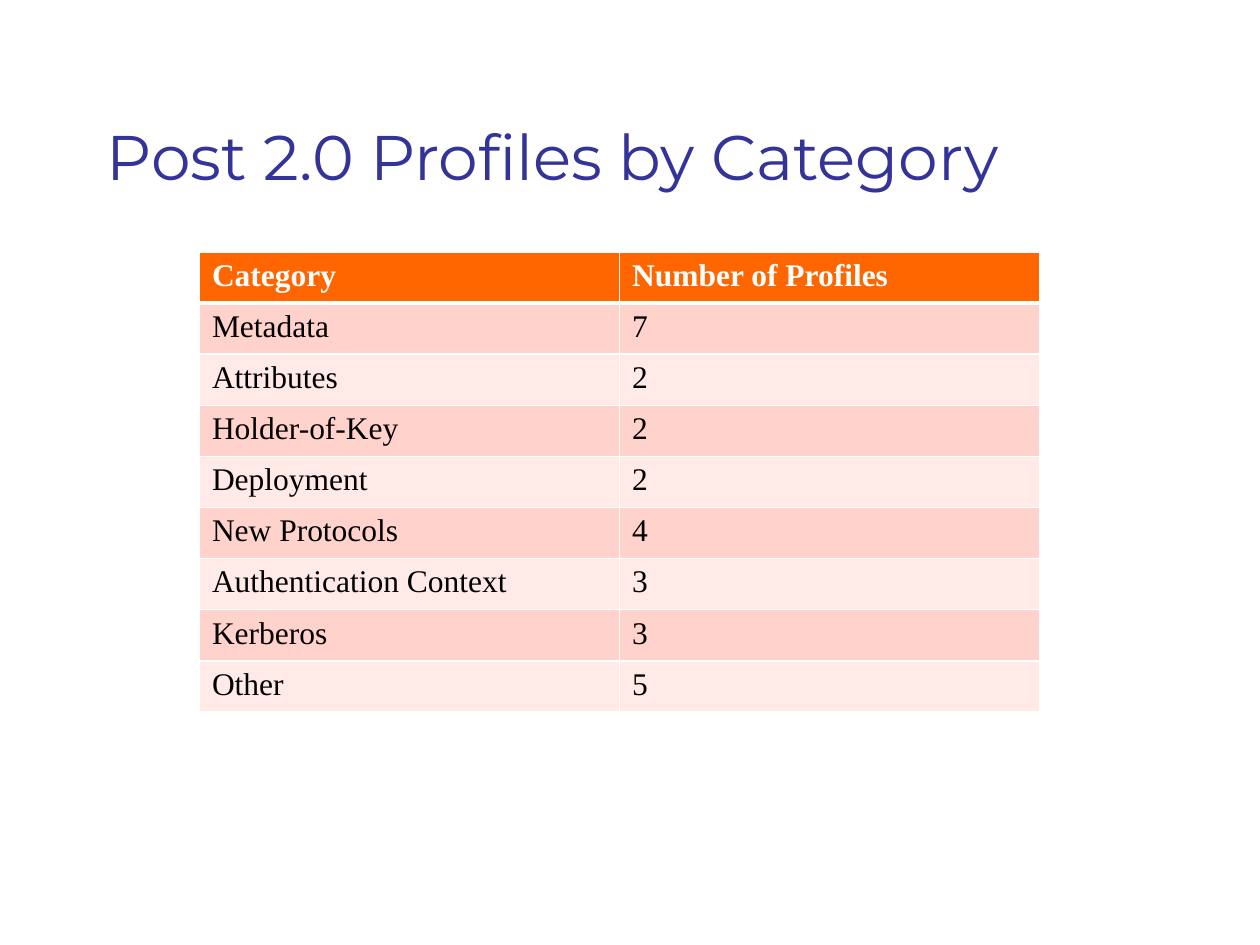
from lxml import etree
from pptx import Presentation
from pptx.dml.color import RGBColor
from pptx.enum import text
from pptx.oxml.ns import qn
from pptx.util import Cm, Pt


def tint(code):
    return RGBColor.from_string(code)


def add_run(para, words, face, size, code, bold=False):
    run = para.add_run()
    run.text = words
    run.font.name = face
    run.font.size = Pt(size)
    run.font.bold = bold
    run.font.color.rgb = tint(code)


# Slide
deck = Presentation()
deck.slide_width, deck.slide_height = Cm(25.4), Cm(19.05)
slide = deck.slides.add_slide(deck.slide_layouts[6])

# Title
title = slide.shapes.add_textbox(Cm(1.9), Cm(2.54), Cm(21.17), Cm(3.18))
frame = title.text_frame
frame.word_wrap = True
frame.vertical_anchor = text.MSO_ANCHOR.TOP
para = frame.paragraphs[0]
para.line_spacing = 0.8
add_run(para, "Post 2.0 Profiles by Category", "Montserrat", 36, "333399")

# Profile counts
rows = [
    ("Category", "Number of Profiles"),
    ("Metadata", "7"),
    ("Attributes", "2"),
    ("Holder-of-Key", "2"),
    ("Deployment", "2"),
    ("New Protocols", "4"),
    ("Authentication Context", "3"),
    ("Kerberos", "3"),
    ("Other", "5"),
]
high = Cm(1.03)
grid = slide.shapes.add_table(len(rows), 2, Cm(4.02), Cm(5.08),
                              Cm(16.94), high * len(rows)).table
for col in grid.columns:
    col.width = Cm(8.47)

for r, row in enumerate(rows):
    grid.rows[r].height = high
    head = r == 0
    fill = "FF6600" if head else ("FFEAE7", "FFD3CC")[r % 2]
    for c, words in enumerate(row):
        cell = grid.cell(r, c)
        cell.fill.solid()
        cell.fill.fore_color.rgb = tint(fill)
        add_run(cell.text_frame.paragraphs[0], words, "Times New Roman", 18,
                "FFFFFF" if head else "000000", head)

        # White borders, thicker below the header
        props = cell._tc.get_or_add_tcPr()
        for i, side in enumerate(("lnL", "lnR", "lnT", "lnB")):
            thick = (head and side == "lnB") or (r == 1 and side == "lnT")
            line = etree.Element(qn("a:" + side), w=str(Pt(3 if thick else 1)))
            solid = etree.SubElement(line, qn("a:solidFill"))
            etree.SubElement(solid, qn("a:srgbClr"), val="FFFFFF")
            props.insert(i, line)

deck.save("out.pptx")
